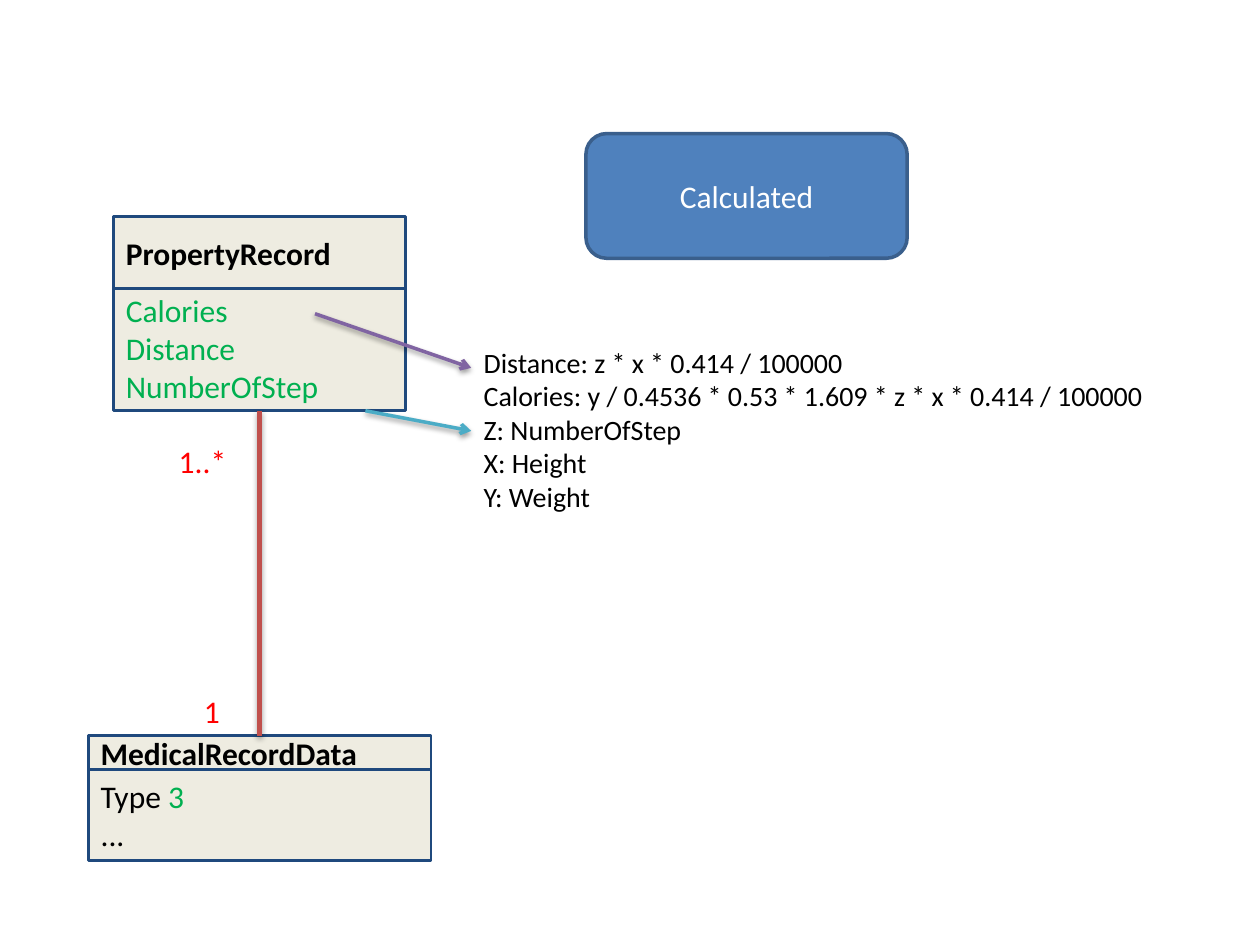
"""Build a class diagram slide with calculated property notes."""
from pptx import Presentation, util as u
from pptx.dml.color import RGBColor
from pptx.enum import shapes, text
from pptx.oxml import parse_xml
from pptx.oxml.ns import nsdecls

I = u.Inches


def tint(code):
    return RGBColor.from_string(code)


def write(shape, paras, size=18, bold=False, align=text.PP_ALIGN.LEFT, **frame):
    for key, val in frame.items():
        setattr(shape.text_frame, key, val)
    for i, runs in enumerate(paras):
        para = shape.text_frame.paragraphs[0] if i == 0 else shape.text_frame.add_paragraph()
        para.alignment = align
        for words, color in runs:
            run = para.add_run()
            run.text = words
            look = {"name": "Calibri", "size": u.Pt(size), "bold": bold}
            for key, val in look.items():
                setattr(run.font, key, val)
            run.font.color.rgb = tint(color)


deck = Presentation()
deck.slide_width, deck.slide_height = I(10), I(7.5)
slide = deck.slides.add_slide(deck.slide_layouts[6])
black, green, red = "000000", "00B050", "FF0000"
top, mid = text.MSO_ANCHOR.TOP, text.MSO_ANCHOR.MIDDLE
inset = {f"margin_{side}": I(0.1) for side in ("left", "top", "right", "bottom")}

classes = [
    ("MedicalRecordData", 0.7, 2.72, (5.84, 0.27), (6.07, 0.76),
     [[("Type ", black), ("3", green)], [("...", black)]]),
    ("PropertyRecord", 0.9, 2.32, (1.72, 0.57), (2.21, 1.05),
     [[(word, green)] for word in ("Calories", "Distance", "NumberOfStep")]),
]
heads, bodies = {}, {}
for name, left, wide, head, body, fields in classes:
    group = slide.shapes.add_group_shape()
    parts = [(bodies, body, fields, False, top), (heads, head, [[(name, black)]], True, mid)]
    for store, (y, high), paras, bold, anchor in parts:
        box = group.shapes.add_shape(shapes.MSO_SHAPE.RECTANGLE, I(left), I(y), I(wide), I(high))
        box.shadow.inherit = False
        box.fill.solid()
        box.fill.fore_color.rgb = tint("EEECE1")
        box.line.color.rgb = tint("1F497D")
        box.line.width = u.Pt(1.5)
        write(box, paras, bold=bold, vertical_anchor=anchor, word_wrap=True, **inset)
        store[name] = box

for label, x, y, wide in [("1", 1.52, 5.44, 0.33), ("1..*", 1.32, 3.46, 0.58)]:
    box = slide.shapes.add_textbox(I(x), I(y), I(wide), I(0.4))
    write(box, [[(label, red)]], word_wrap=False, auto_size=text.MSO_AUTO_SIZE.SHAPE_TO_FIT_TEXT)

notes = [
    "Distance: z * x * 0.414 / 100000",
    "Calories: y / 0.4536 * 0.53 * 1.609 * z * x * 0.414 / 100000",
    "Z: NumberOfStep",
    "X: Height",
    "Y: Weight",
]
box = slide.shapes.add_textbox(I(3.74), I(2.69), I(6.09), I(1.45))
write(box, [[(note, black)] for note in notes], size=16, word_wrap=True,
      auto_size=text.MSO_AUTO_SIZE.SHAPE_TO_FIT_TEXT)

links = [
    ((2.06, 3.26), (2.06, 5.84), "C0504D", 3, False, 1.8, 35),
    ((2.5, 2.49), (3.74, 2.92), "8064A2", 2, True, 1.6, 38),
    ((2.9, 3.26), (3.74, 3.42), "4BACC6", 2, True, 1.6, 38),
]
for start, end, color, width, arrow, drop, alpha in links:
    link = slide.shapes.add_connector(shapes.MSO_CONNECTOR.STRAIGHT, *map(I, start + end))
    link.line.color.rgb = tint(color)
    link.line.width = u.Pt(width)
    if arrow:
        link.line._get_or_add_ln().append(parse_xml(f'<a:tailEnd {nsdecls("a")} type="arrow"/>'))
    else:
        link.begin_connect(bodies["PropertyRecord"], 2)
        link.end_connect(heads["MedicalRecordData"], 0)
    link._element.spPr.append(parse_xml(
        f'<a:effectLst {nsdecls("a")}><a:outerShdw blurRad="{u.Pt(3.1)}" dist="{u.Pt(drop)}" '
        f'dir="5400000" rotWithShape="0"><a:srgbClr val="{black}"><a:alpha val="{alpha * 1000}"/>'
        '</a:srgbClr></a:outerShdw></a:effectLst>'))

badge = slide.shapes.add_shape(
    shapes.MSO_SHAPE.ROUNDED_RECTANGLE, I(4.65), I(1.06), I(2.55), I(0.99))
badge.shadow.inherit = False
badge.fill.solid()
badge.fill.fore_color.rgb = tint("4F81BD")
badge.line.color.rgb = tint("3A5F8C")
badge.line.width = u.Pt(2)
write(badge, [[("Calculated", "FFFFFF")]], align=text.PP_ALIGN.CENTER, vertical_anchor=mid)

deck.save("out.pptx")
